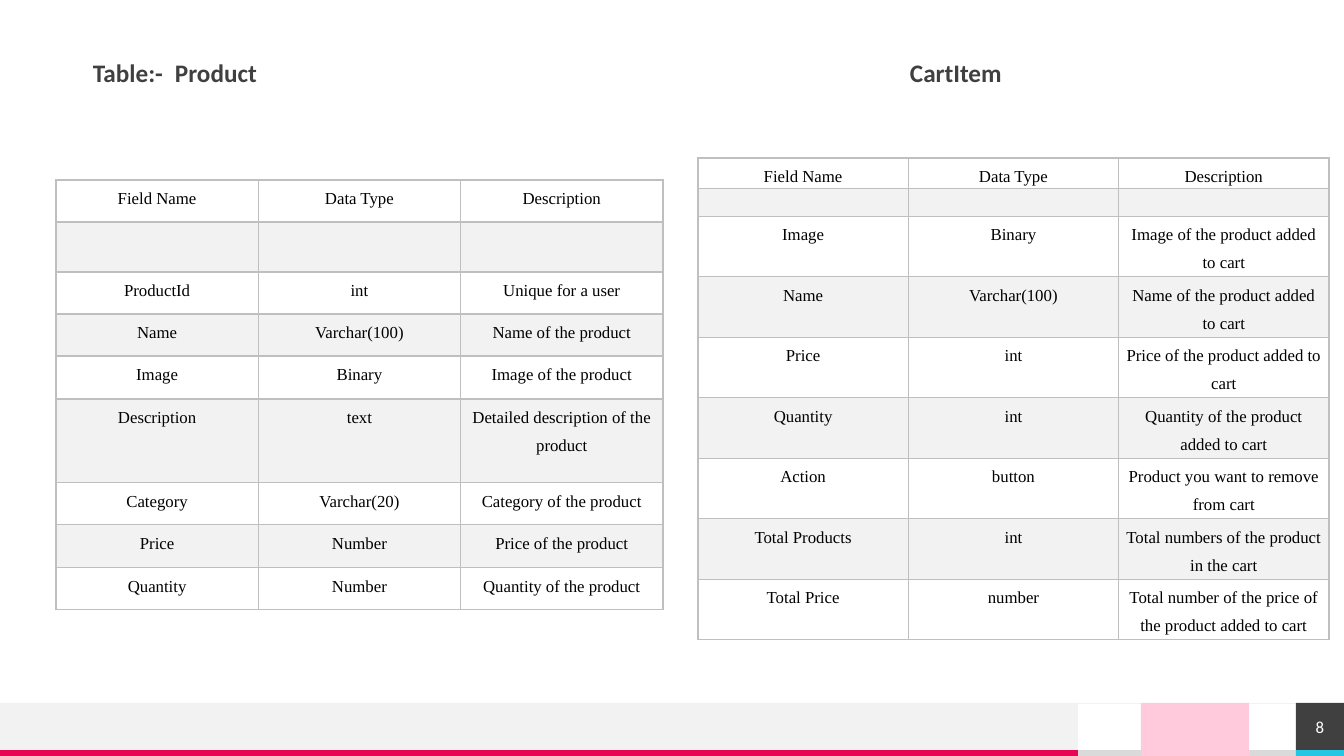
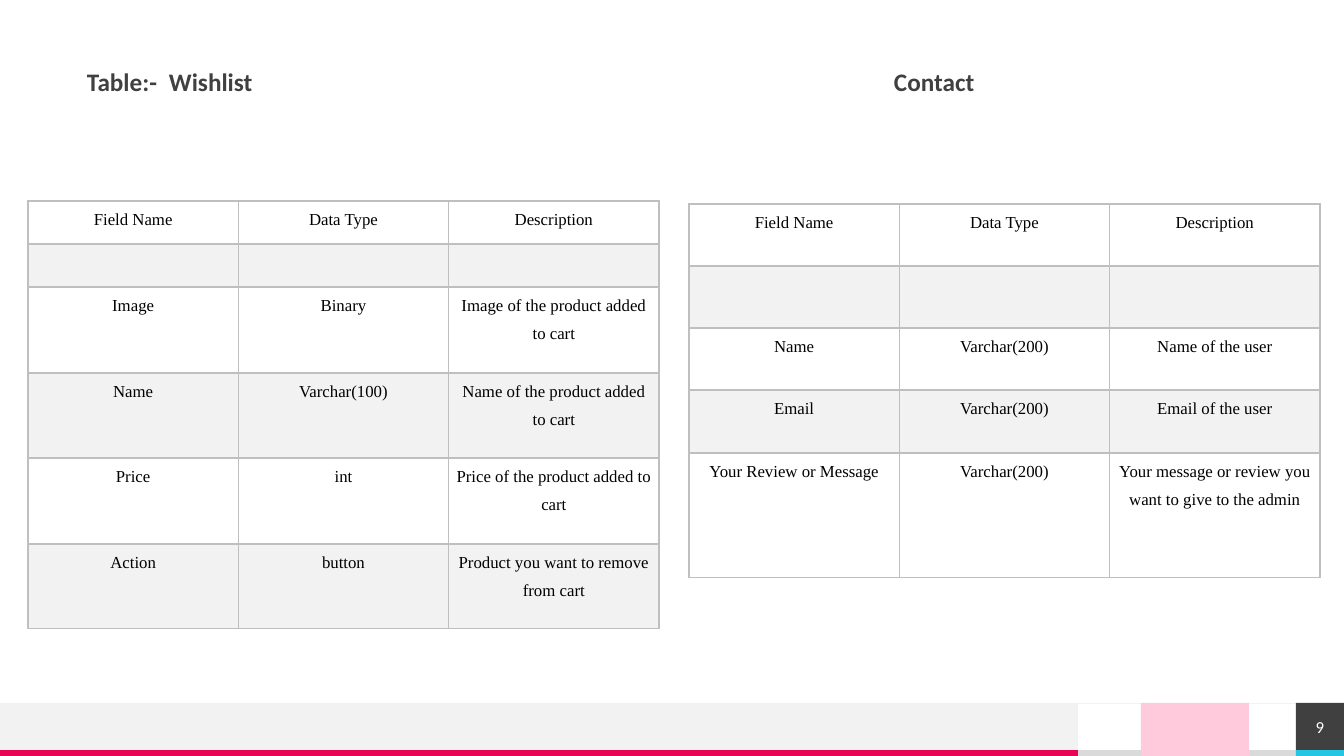
from lxml import etree
from pptx import Presentation
from pptx.dml.color import RGBColor
from pptx.enum.shapes import MSO_CONNECTOR, MSO_SHAPE
from pptx.enum.text import MSO_ANCHOR, PP_ALIGN
from pptx.oxml.ns import qn
from pptx.util import Emu, Pt

W, H = 1344, 756
SCALE = 12192000 / W
BAND_Y, STRIP_Y = 703, 750
PAGE_X = 1296
CELL_INSET = 7

COLORS = {
    "white": "FFFFFF",
    "black": "000000",
    "dark": "404040",
    "band": "F2F2F2",
    "border": "BFBFBF",
    "grey": "DADADA",
    "red": "E80554",
    "cyan": "25C6E3",
    "pink": "FECADC",
}

# x, y, width, height, colour
FOOTER = [
    (1078, STRIP_Y, 218, 6, "grey"),
    (0, BAND_Y, 1078, 47, "band"),
    (0, STRIP_Y, 1078, 6, "red"),
    (PAGE_X, STRIP_Y, 48, 6, "cyan"),
]

HEADER = [("Field Name", "Data Type", "Description"), ("", "", "")]
CART_FIELDS = [
    ("Image", "Binary", "Image of the product added to cart"),
    ("Name", "Varchar(100)", "Name of the product added to cart"),
    ("Price", "int", "Price of the product added to cart"),
]
ACTION = ("Action", "button", "Product you want to remove from cart")

PRODUCT = HEADER + [
    ("ProductId", "int", "Unique for a user"),
    ("Name", "Varchar(100)", "Name of the product"),
    ("Image", "Binary", "Image of the product"),
    ("Description", "text", "Detailed description of the product"),
    ("Category", "Varchar(20)", "Category of the product"),
    ("Price", "Number", "Price of the product"),
    ("Quantity", "Number", "Quantity of the product"),
]
CART_ITEM = HEADER + CART_FIELDS + [
    ("Quantity", "int", "Quantity of the product added to cart"),
    ACTION,
    ("Total Products", "int", "Total numbers of the product in the cart"),
    ("Total Price", "number",
     "Total number of the price of the product added to cart"),
]
WISHLIST = HEADER + CART_FIELDS + [ACTION]
CONTACT = HEADER + [
    ("Name", "Varchar(200)", "Name of the user"),
    ("Email", "Varchar(200)", "Email of the user"),
    ("Your Review or Message", "Varchar(200)",
     "Your message or review you want to give to the admin"),
]

# heading: x, y, words, tab stops; tables: x, y, width, row heights, rows
SLIDES = [
    {
        "number": "8",
        "heading": (93, 61, "Table:-\tProduct\tCartItem", (82, 817)),
        "tables": [
            (56, 180, 607, [42, 50, 42, 42, 43, 84, 42, 43, 42], PRODUCT),
            (698, 158, 631, [28] * 2 + [56] * 7, CART_ITEM),
        ],
    },
    {
        "number": "9",
        "heading": (87, 70, "Table:-\tWishlist\tContact", (82, 807)),
        "tables": [
            (28, 201, 631, [43, 43, 86, 85, 86, 85], WISHLIST),
            (689, 204, 631, [62, 62, 62, 63, 125], CONTACT),
        ],
    },
]


def px(n):
    return Emu(round(n * SCALE))


def add_rect(shapes, x, y, w, h, color):
    sp = shapes.add_shape(MSO_SHAPE.RECTANGLE, px(x), px(y), px(w), px(h))
    sp.shadow.inherit = False
    sp.fill.solid()
    sp.fill.fore_color.rgb = RGBColor.from_string(COLORS[color])
    sp.line.fill.background()
    return sp


prs = Presentation()
prs.slide_width, prs.slide_height = px(W), px(H)

for page in SLIDES:
    s = prs.slides.add_slide(prs.slide_layouts[6])

    for band in FOOTER:
        add_rect(s.shapes, *band)
    line = s.shapes.add_connector(
        MSO_CONNECTOR.STRAIGHT, px(W), px(BAND_Y), px(0), px(BAND_Y))
    line.line.color.rgb = RGBColor.from_string(COLORS["band"])
    line.line.width = Pt(0.5)
    etree.SubElement(line._element.spPr, qn("a:effectLst"))
    add_rect(s.shapes, 1141, BAND_Y, 108, 53, "pink")

    sp = add_rect(s.shapes, PAGE_X, BAND_Y, 48, 47, "dark")
    tf = sp.text_frame
    tf.margin_left = tf.margin_right = tf.margin_top = tf.margin_bottom = 0
    tf.vertical_anchor = MSO_ANCHOR.MIDDLE
    p = tf.paragraphs[0]
    p.alignment = PP_ALIGN.CENTER
    r = p.add_run()
    r.text = page["number"]
    r.font.size = Pt(12)
    r.font.name = "Calibri"
    r.font.color.rgb = RGBColor.from_string(COLORS["white"])

    x, y, words, stops = page["heading"]
    sp = s.shapes.add_textbox(px(x), px(y), px(PAGE_X - x), px(28))
    tf = sp.text_frame
    tf.word_wrap = True
    tf.margin_left = tf.margin_right = tf.margin_top = tf.margin_bottom = 0
    p = tf.paragraphs[0]
    p.line_spacing = 0.9
    tabs = etree.SubElement(p._p.get_or_add_pPr(), qn("a:tabLst"))
    for stop in stops:
        etree.SubElement(tabs, qn("a:tab"), pos=str(px(stop)), algn="l")
    r = p.add_run()
    r.text = words
    r.font.size = Pt(18)
    r.font.bold = True
    r.font.name = "Calibri"
    r.font.color.rgb = RGBColor.from_string(COLORS["dark"])

    for x, y, width, heights, rows in page["tables"]:
        tbl = s.shapes.add_table(
            len(rows), 3, px(x), px(y), px(width), px(sum(heights))).table
        tbl.first_row = tbl.horz_banding = False
        for col in tbl.columns:
            col.width = px(width / 3)
        for i, (height, texts) in enumerate(zip(heights, rows)):
            tbl.rows[i].height = px(height)
            for j, text in enumerate(texts):
                cell = tbl.cell(i, j)
                cell.margin_left = cell.margin_right = px(CELL_INSET)
                cell.margin_top = cell.margin_bottom = 0
                tcPr = cell._tc.get_or_add_tcPr()
                for side in ("lnL", "lnR", "lnT", "lnB"):
                    ln = etree.SubElement(tcPr, qn(f"a:{side}"), w=str(Pt(1)))
                    fill = etree.SubElement(ln, qn("a:solidFill"))
                    etree.SubElement(
                        fill, qn("a:srgbClr"), val=COLORS["border"])
                if i % 2:
                    cell.fill.solid()
                    cell.fill.fore_color.rgb = RGBColor.from_string(
                        COLORS["band"])
                else:
                    cell.fill.background()
                p = cell.text_frame.paragraphs[0]
                if not text:
                    etree.SubElement(p._p, qn("a:endParaRPr"), sz="1200")
                    continue
                p.alignment = PP_ALIGN.CENTER
                p.line_spacing = 1.5
                r = p.add_run()
                r.text = text
                r.font.size = Pt(12)
                r.font.name = "Times New Roman"
                r.font.color.rgb = RGBColor.from_string(COLORS["black"])

prs.save("out.pptx")
